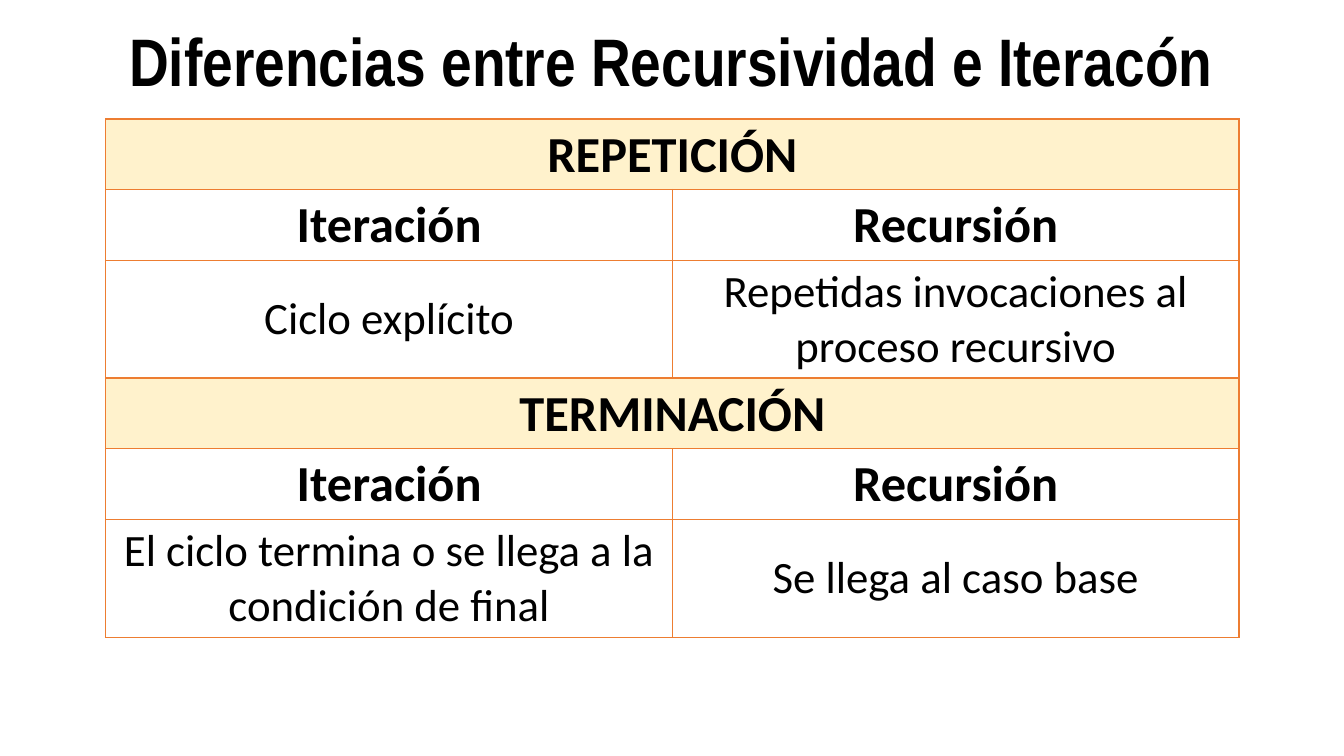
from lxml import etree
from pptx import Presentation
from pptx.dml.color import RGBColor
from pptx.enum.text import MSO_ANCHOR, PP_ALIGN
from pptx.oxml.ns import qn
from pptx.util import Inches, Pt

CENTER = PP_ALIGN.CENTER
MIDDLE = MSO_ANCHOR.MIDDLE
BLACK = "000000"
CREAM = "FFF2CC"
ORANGE = "ED7D31"

SECTIONS = [
    ("REPETICIÓN", "Ciclo explícito", "Repetidas invocaciones al proceso recursivo"),
    ("TERMINACIÓN", "El ciclo termina o se llega a la condición de final", "Se llega al caso base"),
]
COLUMN_HEADS = ("Iteración", "Recursión")


def color(value):
    return RGBColor.from_string(value)


class ComparisonSlide:
    """Holds the slide and the style of its title and comparison table."""

    title_font = "Arial Narrow"
    body_font = "Calibri"

    def __init__(self, presentation):
        self.slide = presentation.slides.add_slide(presentation.slide_layouts[6])

    def set_text(self, text_frame, text, font_name, size, bold):
        text_frame.text = text
        text_frame.word_wrap = True
        paragraph = text_frame.paragraphs[0]
        paragraph.alignment = CENTER
        font = paragraph.runs[0].font
        font.name = font_name
        font.size = Pt(size)
        font.bold = bold
        font.color.rgb = color(BLACK)

    def title(self, text, left, top, width, height):
        box = self.slide.shapes.add_textbox(
            Inches(left), Inches(top), Inches(width), Inches(height))
        box.text_frame.vertical_anchor = MIDDLE
        self.set_text(box.text_frame, text, self.title_font, 48, True)

    def border(self, cell):
        properties = cell._tc.get_or_add_tcPr()
        for index, side in enumerate(("lnL", "lnR", "lnT", "lnB")):
            line = etree.Element(qn(f"a:{side}"), w=str(Pt(1)))
            fill = etree.SubElement(line, qn("a:solidFill"))
            etree.SubElement(fill, qn("a:srgbClr"), val=ORANGE)
            properties.insert(index, line)

    def table(self, rows, row_heights, left, top, width):
        frame = self.slide.shapes.add_table(
            len(rows), 2, Inches(left), Inches(top), Inches(width), Inches(sum(row_heights)))
        table = frame.table
        for row_index, (texts, height) in enumerate(zip(rows, row_heights)):
            table.rows[row_index].height = Inches(height)
            is_section = len(texts) == 1
            is_heading = is_section or texts == COLUMN_HEADS
            for column in range(2):
                cell = table.cell(row_index, column)
                cell.vertical_anchor = MIDDLE
                if is_section:
                    cell.fill.solid()
                    cell.fill.fore_color.rgb = color(CREAM)
                else:
                    cell.fill.background()
                self.border(cell)
            for column, text in enumerate(texts):
                self.set_text(table.cell(row_index, column).text_frame, text,
                              self.body_font, 36 if is_heading else 32, is_heading)
            if is_section:
                table.cell(row_index, 0).merge(table.cell(row_index, 1))


def main():
    presentation = Presentation()
    presentation.slide_width = Inches(13.33)
    presentation.slide_height = Inches(7.5)
    slide = ComparisonSlide(presentation)
    slide.title("Diferencias entre Recursividad e Iteracón", 0.54, 0, 12.24, 1.18)
    rows = []
    for section, iteration, recursion in SECTIONS:
        rows += [(section,), COLUMN_HEADS, (iteration, recursion)]
    slide.table(rows, [0.7, 0.7, 1.17] * len(SECTIONS), 1.05, 1.18, 11.24)
    presentation.save("out.pptx")


if __name__ == "__main__":
    main()
